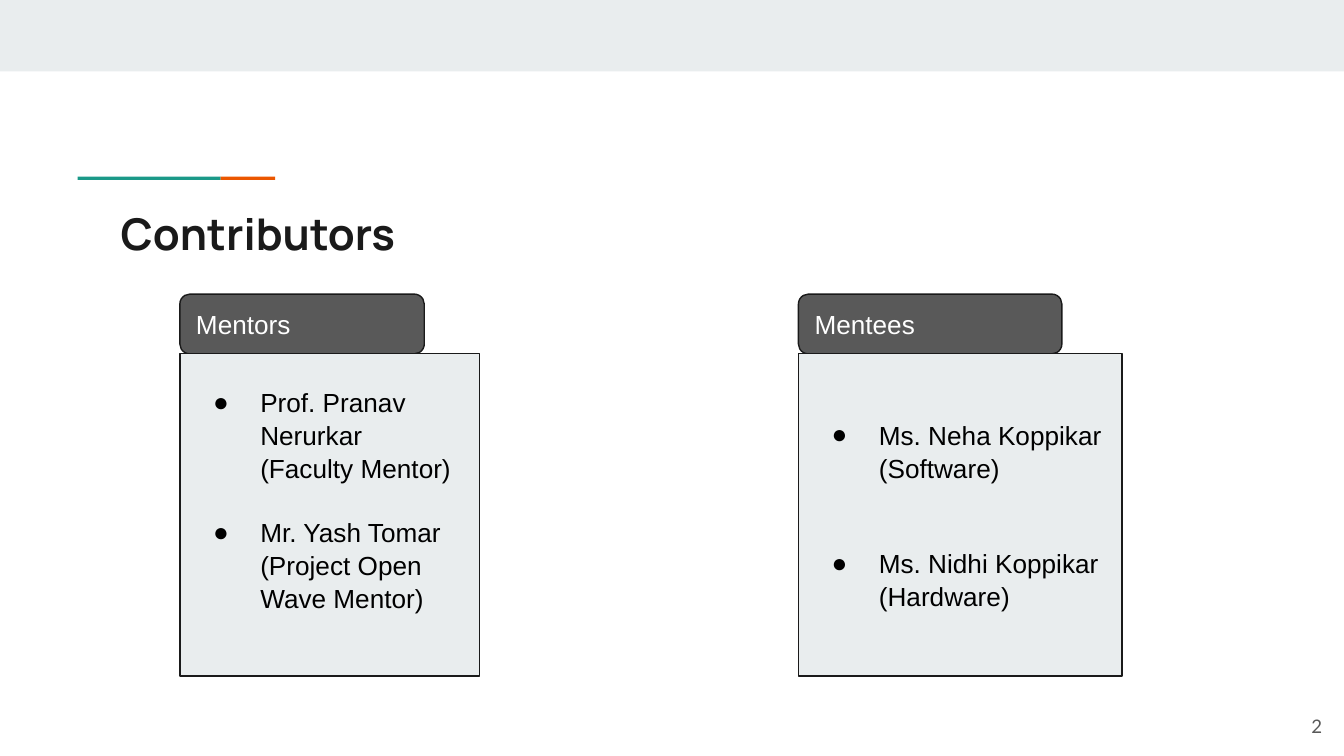
from lxml.etree import SubElement
from pptx import Presentation
from pptx.dml.color import RGBColor
from pptx.enum.shapes import MSO_SHAPE
from pptx.enum.text import MSO_ANCHOR, MSO_AUTO_SIZE, PP_ALIGN
from pptx.oxml.ns import qn
from pptx.util import Cm, Pt

INK, GREY, PALE = "1A1A1A", "595959", "E9EDEE"
TEAL, ORANGE, BLACK, WHITE = "1A9988", "EB5600", "000000", "FFFFFF"

TITLE_FORMAT = {"name": "Manrope", "size": Pt(23.4), "bold": True, "color": INK}
HEADING_FORMAT = {"name": "Arial", "size": Pt(14), "color": WHITE}
BODY_FORMAT = {**HEADING_FORMAT, "color": BLACK}
NUMBER_FORMAT = {"name": "Lato", "size": Pt(10), "color": GREY}

INSET = Cm(0.25)
CARD_TOP, HEADING_HEIGHT = 5.56, 1.13
BODY_TOP, BODY_HEIGHT = 6.68, 6.1
LINE_SPACING = 1.05

# left, heading width, body width, gap between people in points,
# bottom inset, heading, people with their roles
CARDS = [
    (15.09, 4.98, 6.12, 33.6, 0.25, "Mentees",
     [("Ms. Neha Koppikar", "(Software)"),
      ("Ms. Nidhi Koppikar", "(Hardware)")]),
    (3.4, 4.62, 5.66, 16.8, 0.84, "Mentors",
     [("Prof. Pranav Nerurkar", "(Faculty Mentor)"),
      ("Mr. Yash Tomar", "(Project Open Wave Mentor)")]),
]


def color(value):
    return RGBColor.from_string(value)


def add_block(page, kind, left, top, width, height, fill, line=None):
    block = page.shapes.add_shape(kind, Cm(left), Cm(top), Cm(width), Cm(height))
    block.shadow.inherit = False
    block.fill.solid()
    block.fill.fore_color.rgb = color(fill)
    if line:
        block.line.color.rgb = color(line)
        block.line.width = Pt(0.75)
    else:
        block.line.fill.background()
    return block


def set_frame(shape, anchor=MSO_ANCHOR.MIDDLE):
    frame = shape.text_frame
    settings = {"word_wrap": True, "auto_size": MSO_AUTO_SIZE.NONE,
                "vertical_anchor": anchor, "margin_left": INSET,
                "margin_right": INSET, "margin_top": INSET,
                "margin_bottom": INSET}
    for name, value in settings.items():
        setattr(frame, name, value)
    return frame


def write(para, text, text_format, align=PP_ALIGN.LEFT):
    para.alignment = align
    span = para.add_run()
    span.text = text
    for name, value in text_format.items():
        if name == "color":
            span.font.color.rgb = color(value)
        else:
            setattr(span.font, name, value)


def indent(para, bullet):
    """Indent a paragraph, hanging a round bullet before it if asked."""
    properties = para._p.get_or_add_pPr()
    properties.set("marL", str(Cm(1.27)))
    properties.set("indent", str(-Cm(0.89) if bullet else 0))
    if bullet:
        bullet_color = SubElement(properties, qn("a:buClr"))
        SubElement(bullet_color, qn("a:srgbClr"), val=BLACK)
        SubElement(properties, qn("a:buFont"), typeface="Arial")
        SubElement(properties, qn("a:buChar"), char="●")
    else:
        SubElement(properties, qn("a:buNone"))


def add_people(frame, people, gap):
    for person_index, lines in enumerate(people):
        for line_index, text in enumerate(lines):
            is_name = line_index == 0
            is_first = is_name and person_index == 0
            para = frame.paragraphs[0] if is_first else frame.add_paragraph()
            para.line_spacing = LINE_SPACING
            para.space_before = Pt(gap if is_name and not is_first else 0)
            indent(para, is_name)
            write(para, text, BODY_FORMAT)


def add_card(page, left, heading_width, body_width, gap, bottom, heading, people):
    tab = add_block(page, MSO_SHAPE.ROUNDED_RECTANGLE, left, CARD_TOP,
                    heading_width, HEADING_HEIGHT, GREY, INK)
    write(set_frame(tab).paragraphs[0], heading, HEADING_FORMAT)
    body = add_block(page, MSO_SHAPE.RECTANGLE, left, BODY_TOP,
                     body_width, BODY_HEIGHT, PALE, INK)
    frame = set_frame(body)
    frame.margin_bottom = Cm(bottom)
    add_people(frame, people, gap)


def add_title(page, text):
    title = page.shapes.title
    place = {"left": Cm(2.03), "top": Cm(3.66),
             "width": Cm(21.36), "height": Cm(1.5)}
    for name, value in place.items():
        setattr(title, name, value)
    write(set_frame(title, MSO_ANCHOR.TOP).paragraphs[0], text, TITLE_FORMAT)


def add_page_number(page, text):
    box = page.shapes.add_textbox(Cm(23.72), Cm(13.18), Cm(1.52), Cm(1.09))
    write(set_frame(box).paragraphs[0], text, NUMBER_FORMAT, PP_ALIGN.RIGHT)


def main():
    deck = Presentation()
    deck.slide_width, deck.slide_height = Cm(25.4), Cm(14.29)
    page = deck.slides.add_slide(deck.slide_layouts[5])
    add_block(page, MSO_SHAPE.RECTANGLE, 0, 0, 25.4, 1.35, PALE)
    for left, width, fill in [(1.47, 2.7, TEAL), (4.17, 1.03, ORANGE)]:
        add_block(page, MSO_SHAPE.RECTANGLE, left, 3.34, width, 0.06, fill)
    for card in CARDS:
        add_card(page, *card)
    add_title(page, "Contributors")
    add_page_number(page, "2")
    deck.save("out.pptx")


if __name__ == "__main__":
    main()
